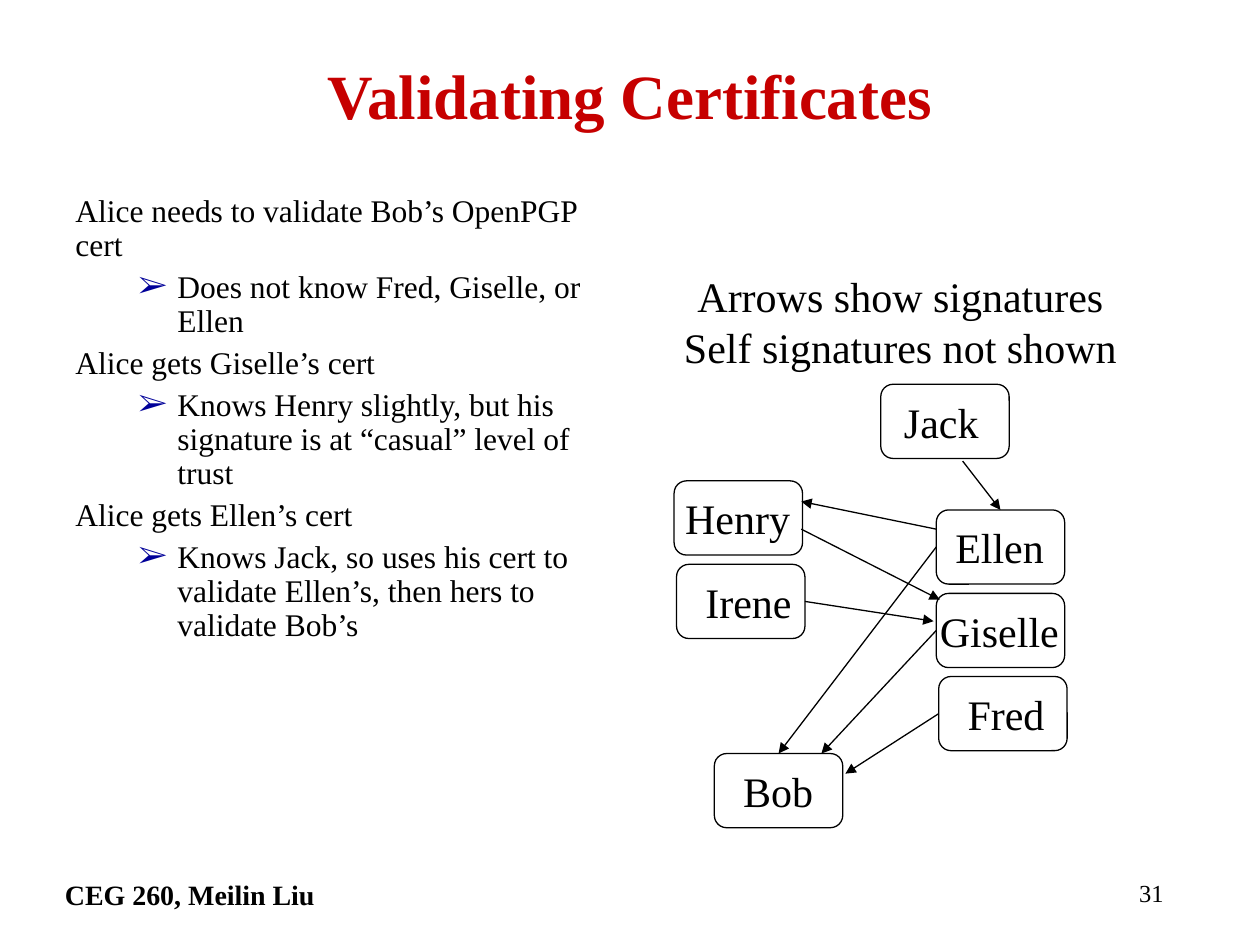
"""Build the Validating Certificates slide with its web of signatures."""
from lxml import etree
from pptx import Presentation
from pptx import util as u
from pptx.dml.color import RGBColor
from pptx.enum import shapes, text
from pptx.oxml.ns import qn

COLORS = {"title": "C60000", "ink": "000000", "bullet": "000099"}
FONT = "Times New Roman"
TOP, LEFT, RIGHT = 0, 1, 3
BOX_WIDTH, BOX_HEIGHT = 73.4, 42.4

POINTS = [
    ("Alice needs to validate Bob’s OpenPGP cert", "Does not know Fred, Giselle, or Ellen"),
    ("Alice gets Giselle’s cert",
     "Knows Henry slightly, but his signature is at “casual” level of trust"),
    ("Alice gets Ellen’s cert",
     "Knows Jack, so uses his cert to validate Ellen’s, then hers to validate Bob’s"),
]
CAPTION = ["Arrows show signatures", "Self signatures not shown"]

# name: left, top, label inset
PEOPLE = {
    "Bob": (408.2, 430.6, 14.4),
    "Fred": (536.4, 386.6, 14.4),
    "Giselle": (535, 339.1, 0),
    "Ellen": (535, 291.4, 8.8),
    "Irene": (386.6, 322.5, 14.4),
    "Henry": (385.2, 274.8, 4.2),
    "Jack": (503.3, 219.6, 11.2),
}
SIGNATURES = [
    (("Ellen", LEFT), ("Bob", TOP)),
    (("Giselle", LEFT), (469.4, 430.6)),
    (("Fred", LEFT), (483.1, 442.1)),
    (("Irene", RIGHT), (533.5, 355)),
    ((457.9, 302.4), (537.1, 342.7)),
    ((535, 302.4), (457.9, 286.6)),
    ((550.1, 263.5), ("Ellen", TOP)),
]


def color(name):
    return RGBColor.from_string(COLORS[name])


def add_bullet(para):
    properties = para._p.get_or_add_pPr()
    properties.set("marL", str(u.Pt(58.3)))
    properties.set("indent", str(u.Pt(-22.3)))
    tint = etree.SubElement(properties, qn("a:buClr"))
    etree.SubElement(tint, qn("a:srgbClr"), val=COLORS["bullet"])
    etree.SubElement(properties, qn("a:buFont"), typeface=FONT)
    etree.SubElement(properties, qn("a:buChar"), char="➢")


def write(shape, lines, size=24, ink="ink", bold=False, align="LEFT", anchor="TOP",
          inset=7.2, right=7.2, spacing=None, before=0):
    """Fill a shape with (text, is_bullet) lines."""
    frame = shape.text_frame
    frame.word_wrap = True
    frame.vertical_anchor = text.MSO_ANCHOR[anchor]
    frame.margin_left, frame.margin_right = u.Pt(inset), u.Pt(right)
    for index, (words, bulleted) in enumerate(lines):
        para = frame.add_paragraph() if index else frame.paragraphs[0]
        if bulleted:
            add_bullet(para)
        para.alignment = text.PP_ALIGN[align]
        if spacing:
            para.line_spacing = spacing
        if index and before:
            para.space_before = u.Pt(before)
        span = para.add_run()
        span.text = words
        span.font.name, span.font.size, span.font.bold = FONT, u.Pt(size), bold
        span.font.color.rgb = color(ink)


def add_text(page, place, lines, **look):
    write(page.shapes.add_textbox(*map(u.Pt, place)), lines, **look)


def add_person(page, name):
    left, top, inset = PEOPLE[name]
    box = page.shapes.add_shape(shapes.MSO_SHAPE.ROUNDED_RECTANGLE,
                                *map(u.Pt, (left, top, BOX_WIDTH, BOX_HEIGHT)))
    box.shadow.inherit = False
    box.fill.background()
    box.line.color.rgb, box.line.width = color("ink"), u.Pt(0.75)
    write(box, [(name, False)], anchor="MIDDLE", inset=inset, right=0)
    return box


def add_signature(page, boxes, start, end):
    points = [(0, 0) if isinstance(stop[0], str) else stop for stop in (start, end)]
    arrow = page.shapes.add_connector(shapes.MSO_CONNECTOR.STRAIGHT,
                                      *(u.Pt(value) for point in points for value in point))
    for stop, connect in ((start, arrow.begin_connect), (end, arrow.end_connect)):
        if isinstance(stop[0], str):
            connect(boxes[stop[0]], stop[1])
    arrow.line.color.rgb, arrow.line.width = color("ink"), u.Pt(0.75)
    etree.SubElement(arrow.line._get_or_add_ln(), qn("a:tailEnd"), type="triangle")
    etree.SubElement(arrow._element.spPr, qn("a:effectLst"))


def main():
    deck = Presentation()
    deck.slide_width, deck.slide_height = u.Pt(720), u.Pt(540)
    page = deck.slides.add_slide(deck.slide_layouts[6])
    add_text(page, (30, 498, 456, 30), [("CEG 260, Meilin Liu", False)], size=16, bold=True)
    add_text(page, (522, 498, 150, 30), [("31", False)], size=14, align="RIGHT")
    add_text(page, (54, 24, 612, 60), [("Validating Certificates", False)], size=36,
             ink="title", bold=True, align="CENTER", anchor="MIDDLE")
    body = [(words, bool(level)) for point in POINTS for level, words in enumerate(point)]
    add_text(page, (36, 108, 317.5, 372), body, size=18, spacing=0.9, before=4.5)
    add_text(page, (383.8, 151.2, 261.4, 65), [(line, False) for line in CAPTION],
             align="CENTER", inset=0, right=0)
    boxes = {name: add_person(page, name) for name in PEOPLE}
    for start, end in SIGNATURES:
        add_signature(page, boxes, start, end)
    deck.save("out.pptx")


if __name__ == "__main__":
    main()
